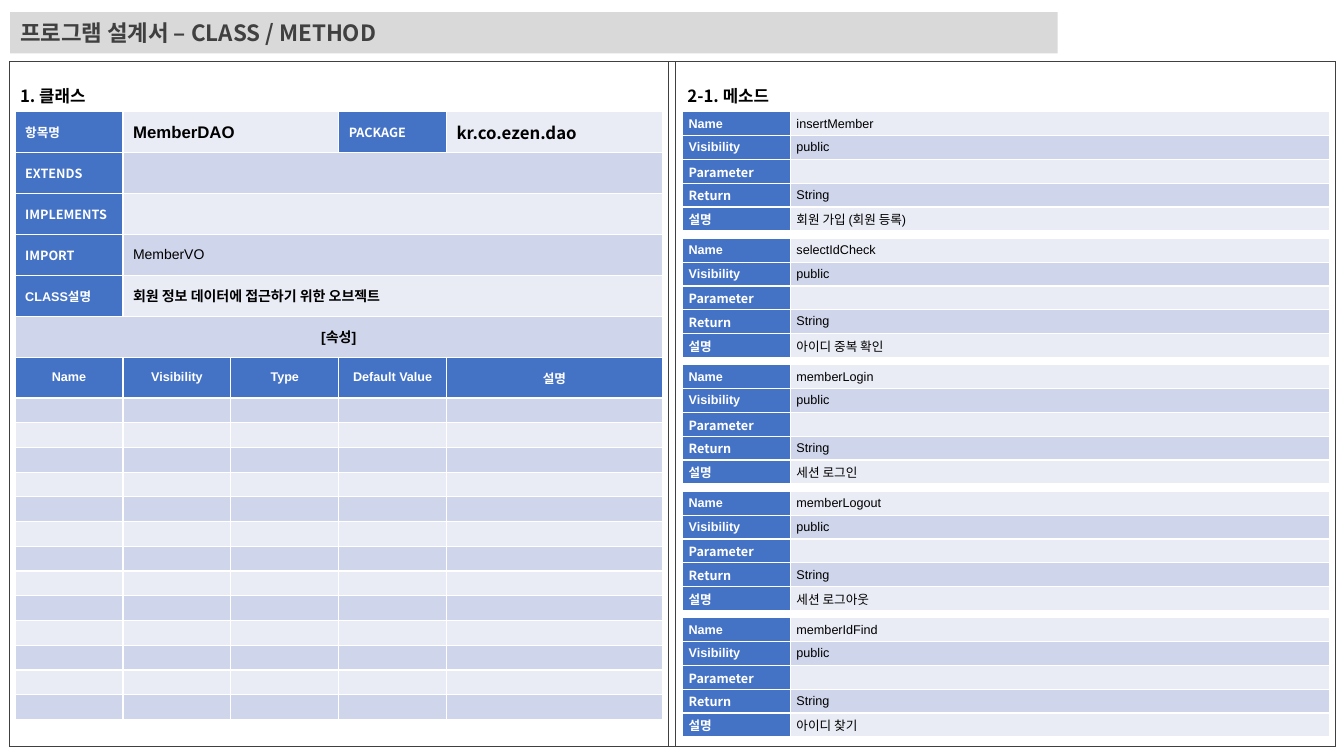
from lxml import etree
from pptx import Presentation
from pptx.dml.color import RGBColor
from pptx.enum.shapes import MSO_SHAPE
from pptx.enum.text import MSO_ANCHOR, MSO_AUTO_SIZE, PP_ALIGN
from pptx.oxml.ns import qn
from pptx.util import Inches, Pt

RECT = MSO_SHAPE.RECTANGLE
MIDDLE = MSO_ANCHOR.MIDDLE
GROW = MSO_AUTO_SIZE.SHAPE_TO_FIT_TEXT
LEFT, CENTER = PP_ALIGN.LEFT, PP_ALIGN.CENTER

ARIAL, NOTO = "Arial", "Noto Sans CJK KR"
COLORS = {
    "white": "FFFFFF", "black": "000000", "dark": "404040", "gray": "D9D9D9",
    "blue": "4472C4", "light": "E9EBF5", "mid": "CFD5EA",
}
LABEL = {"size": 9, "color": "white", "bold": True}
BIG = {"size": 12, "bold": True}
HEAD = {"size": 12, "font": NOTO, "bold": True}

METHODS = [
    ("insertMember", "회원 가입 (회원 등록)"),
    ("selectIdCheck", "아이디 중복 확인"),
    ("memberLogin", "세션 로그인"),
    ("memberLogout", "세션 로그아웃"),
    ("memberIdFind", "아이디 찾기"),
]
FIELDS = ["Name", "Visibility", "Type", "Default Value", "설명"]


def color(name):
    return RGBColor.from_string(COLORS[name])


def write(frame, text, size=9, font=ARIAL, color_name="black", bold=False, align=LEFT):
    para = frame.paragraphs[0]
    para.alignment = align
    run = para.add_run()
    run.text = text
    run.font.size = Pt(size)
    run.font.name = font
    run.font.bold = bold
    run.font.color.rgb = color(color_name)
    east = etree.SubElement(run.font._element, qn("a:ea"))
    east.set("typeface", NOTO)


class Sheet:
    def __init__(self, deck):
        self.slide = deck.slides.add_slide(deck.slide_layouts[6])

    def box(self, x, y, w, h, fill=None, line=None):
        shape = self.slide.shapes.add_shape(
            RECT, Inches(x), Inches(y), Inches(w), Inches(h))
        shape.shadow.inherit = False
        if fill:
            shape.fill.solid()
            shape.fill.fore_color.rgb = color(fill)
        else:
            shape.fill.background()
        if line:
            shape.line.color.rgb = color(line)
            shape.line.width = Pt(0.5)
        else:
            shape.line.fill.background()
        return shape

    def title(self, x, y, w, h, text):
        frame = self.box(x, y, w, h, fill="gray").text_frame
        frame.word_wrap = True
        frame.vertical_anchor = MIDDLE
        write(frame, text, size=16, font=NOTO, color_name="dark", bold=True)

    def label(self, x, y, w, h, text):
        frame = self.slide.shapes.add_textbox(
            Inches(x), Inches(y), Inches(w), Inches(h)).text_frame
        frame.word_wrap = True
        frame.auto_size = GROW
        write(frame, text, **HEAD)

    def table(self, x, y, cols, rows):
        """Add a table with banded fills and white cell borders."""
        table = self.slide.shapes.add_table(
            len(rows), len(cols), Inches(x), Inches(y),
            Inches(sum(cols)), Inches(sum(rows))).table
        table.first_row = table.horz_banding = False
        for col, width in zip(table.columns, cols):
            col.width = Inches(width)
        for i, (row, height) in enumerate(zip(table.rows, rows)):
            row.height = Inches(height)
            for cell in row.cells:
                cell.vertical_anchor = MIDDLE
                self.paint(cell, "mid" if i % 2 else "light")
                self.edge(cell)
        return table

    def paint(self, cell, name):
        cell.fill.solid()
        cell.fill.fore_color.rgb = color(name)

    def edge(self, cell):
        props = cell._tc.get_or_add_tcPr()
        for i, side in enumerate(("lnL", "lnR", "lnT", "lnB")):
            line = etree.Element(qn("a:" + side), w=str(Pt(1)))
            fill = etree.SubElement(line, qn("a:solidFill"))
            etree.SubElement(fill, qn("a:srgbClr"), val=COLORS["white"])
            props.insert(i, line)

    def key(self, cell, text, font=ARIAL, align=LEFT):
        """Fill a blue label cell."""
        self.paint(cell, "blue")
        write(cell.text_frame, text, size=9, font=font, color_name="white",
              bold=True, align=align)

    def shrink(self, table):
        """Give blank cells small text so that rows keep their height."""
        for cell in table.iter_cells():
            if not cell.text:
                para = cell.text_frame.paragraphs[0]
                etree.SubElement(para._p, qn("a:endParaRPr"), sz="600")

    def method(self, y, name, note):
        table = self.table(6.77, y, [1.07, 5.35], [1.18 / 5] * 5)
        for cell in table.iter_cells():
            cell.margin_left = cell.margin_right = Inches(0.06)
            cell.margin_top = cell.margin_bottom = Inches(0.03)
        lines = [("Name", ARIAL, name), ("Visibility", ARIAL, "public"),
                 ("Parameter", NOTO, ""), ("Return", NOTO, "String"),
                 ("설명", ARIAL, note)]
        for i, (key, font, value) in enumerate(lines):
            self.key(table.cell(i, 0), key, font)
            if value:
                write(table.cell(i, 1).text_frame, value)
        self.shrink(table)

    def summary(self):
        """Add the class table with its attribute grid."""
        tall = 2.84 / 7
        low = (6.03 - 7 * tall) / 13
        table = self.table(0.15, 1.11, [1.07] * 4 + [2.14], [tall] * 7 + [low] * 13)
        spans = [(0, 1, 2), (1, 1, 4), (2, 1, 4), (3, 1, 4), (4, 1, 4), (5, 0, 4)]
        for row, start, end in spans:
            table.cell(row, start).merge(table.cell(row, end))
        keys = [(0, 0, "항목명", ARIAL), (0, 3, "PACKAGE", NOTO),
                (1, 0, "EXTENDS", NOTO), (2, 0, "IMPLEMENTS", NOTO),
                (3, 0, "IMPORT", NOTO), (4, 0, "CLASS설명", ARIAL)]
        for row, col, text, font in keys:
            self.key(table.cell(row, col), text, font)
        values = [(0, 1, "MemberDAO", BIG), (0, 4, "kr.co.ezen.dao", HEAD),
                  (3, 1, "MemberVO", {"size": 10}),
                  (4, 1, "회원 정보 데이터에 접근하기 위한 오브젝트",
                   {"size": 10, "bold": True}),
                  (5, 0, "[속성]", {"size": 10, "bold": True, "align": CENTER})]
        for row, col, text, style in values:
            write(table.cell(row, col).text_frame, text, **style)
        for col, text in enumerate(FIELDS):
            self.key(table.cell(6, col), text, align=CENTER)
        self.shrink(table)


def main():
    deck = Presentation()
    deck.slide_width, deck.slide_height = Inches(13.33), Inches(7.5)
    sheet = Sheet(deck)
    sheet.title(0.1, 0.12, 10.39, 0.41, "프로그램 설계서 – CLASS / METHOD")
    for x, width in ((0.09, 13.15), (0.09, 6.54), (6.7, 6.54)):
        sheet.box(x, 0.61, width, 6.79, line="dark")
    sheet.label(0.1, 0.8, 1.55, 0.3, "1. 클래스")
    sheet.label(6.72, 0.8, 1.55, 0.3, "2-1. 메소드")
    for i, (name, note) in enumerate(METHODS):
        sheet.method(1.11 + i * 5.02 / 4, name, note)
    sheet.summary()
    deck.save("out.pptx")


if __name__ == "__main__":
    main()
